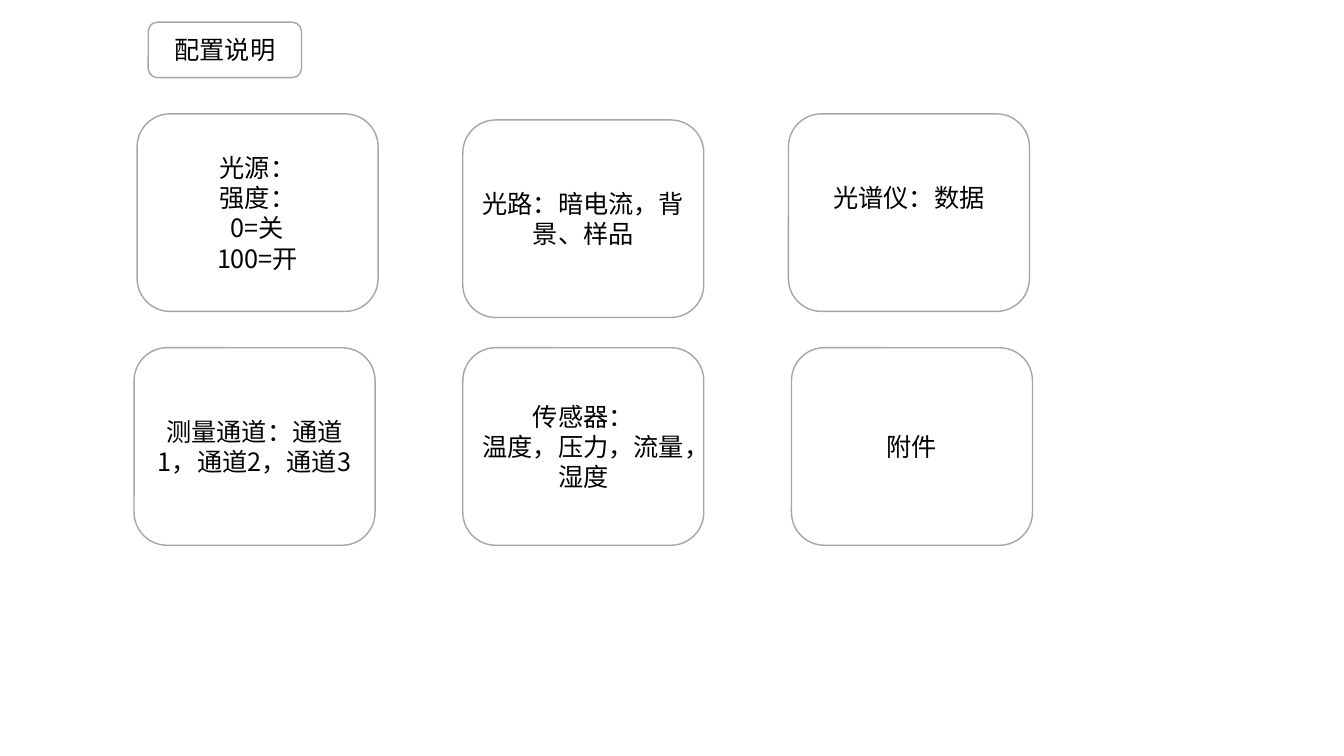
from lxml import etree
from pptx import Presentation
from pptx.dml.color import RGBColor
from pptx.enum.shapes import MSO_SHAPE
from pptx.enum.text import MSO_ANCHOR, PP_ALIGN
from pptx.oxml.ns import qn
from pptx.util import Inches, Pt

ROUNDED = MSO_SHAPE.ROUNDED_RECTANGLE
MIDDLE = MSO_ANCHOR.MIDDLE
CENTER = PP_ALIGN.CENTER
FONT = "Noto Sans CJK SC"
CARD_WIDTH, CARD_HEIGHT = 2.39, 1.96
INSET = 0.05
LINE_HEIGHT = 0.3

CARDS = [
    (1.36, 1.13, ["光源：", "强度：", "0=关", "100=开"], INSET),
    (4.59, 1.19, ["光路：暗电流，背景、样品"], INSET),
    (7.82, 1.13, ["光谱仪：数据"], INSET + LINE_HEIGHT),
    (1.33, 3.45, ["测量通道：通道1，通道2，通道3"], INSET),
    (4.59, 3.45, ["传感器：", "温度，压力，流量，湿度"], INSET),
    (7.85, 3.45, ["附件"], INSET),
]


def color(value):
    return RGBColor.from_string(value)


def write_text(para, text, size=18, font=FONT, ink="000000", align=CENTER):
    para.alignment = align
    span = para.add_run()
    span.text = text
    span.font.size = Pt(size)
    span.font.name = font
    span.font.color.rgb = color(ink)
    east_asian = etree.SubElement(span.font._element, qn("a:ea"))
    east_asian.set("typeface", font)


def add_box(page, left, top, width, height, lines, bottom_inset=INSET):
    box = page.shapes.add_shape(
        ROUNDED, Inches(left), Inches(top), Inches(width), Inches(height)
    )
    box.shadow.inherit = False
    box.fill.solid()
    box.fill.fore_color.rgb = color("FFFFFF")
    box.line.color.rgb = color("A5A5A5")
    box.line.width = Pt(1)
    frame = box.text_frame
    frame.word_wrap = True
    frame.vertical_anchor = MIDDLE
    frame.margin_bottom = Inches(bottom_inset)
    for index, line in enumerate(lines):
        para = frame.add_paragraph() if index else frame.paragraphs[0]
        write_text(para, line)


def main():
    deck = Presentation()
    deck.slide_width = Inches(13.33)
    deck.slide_height = Inches(7.5)
    page = deck.slides.add_slide(deck.slide_layouts[6])
    add_box(page, 1.47, 0.22, 1.52, 0.55, ["配置说明"])
    for left, top, lines, bottom_inset in CARDS:
        add_box(page, left, top, CARD_WIDTH, CARD_HEIGHT, lines, bottom_inset)
    deck.save("out.pptx")


if __name__ == "__main__":
    main()
